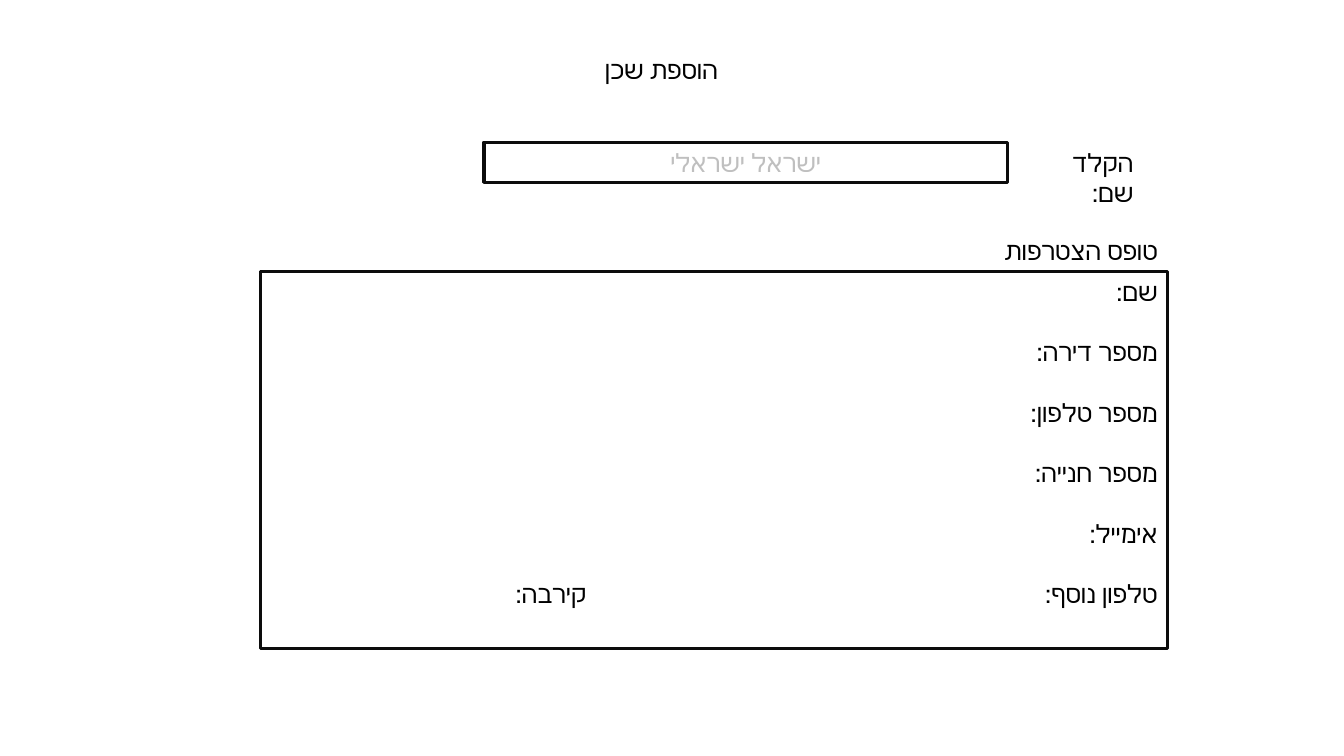
import pptx
import pptx.util
import pptx.dml.color
import pptx.enum.shapes
import pptx.enum.text
import pptx.oxml
import pptx.oxml.ns

Inches = pptx.util.Inches
Pt = pptx.util.Pt
RGB = pptx.dml.color.RGBColor
ALIGN = pptx.enum.text.PP_ALIGN
COLORS = {"text": "000000", "hint": "BFBFBF", "line": "0C0C0C"}


def write(sp, lines, color="text", align=ALIGN.RIGHT, gap=0):
    tf = sp.text_frame
    tf.text = "\n".join(lines)
    tf.word_wrap = True
    tf.auto_size = pptx.enum.text.MSO_AUTO_SIZE.NONE
    tf.vertical_anchor = pptx.enum.text.MSO_ANCHOR.TOP
    tf.margin_left = tf.margin_right = Inches(0.1)
    tf.margin_top = tf.margin_bottom = Inches(0.05)
    for p in tf.paragraphs:
        p.alignment = align
        p.space_before = Pt(0)
        p.space_after = Pt(gap)
        p._p.get_or_add_pPr().set("rtl", "1")
        for r in p.runs:
            r.font.size = Pt(18)
            r.font.name = "Calibri"
            r.font.color.rgb = RGB.from_string(COLORS[color])


def add_box(s, left, top, width, height):
    sp = s.shapes.add_shape(
        pptx.enum.shapes.MSO_SHAPE.RECTANGLE,
        Inches(left), Inches(top), Inches(width), Inches(height))
    sp.shadow.inherit = False
    sp.fill.background()
    sp.line.color.rgb = RGB.from_string(COLORS["line"])
    sp.line.width = Pt(2.25)
    return sp


prs = pptx.Presentation()
prs.slide_width = Inches(13.33)
prs.slide_height = Inches(7.5)
s = prs.slides.add_slide(prs.slide_layouts[5])

title = s.shapes.title
title.left, title.top = Inches(5.02), Inches(0.49)
title.width, title.height = Inches(2.2), Inches(0.4)
write(title, ["הוספת שכן"])

form = add_box(s, 2.58, 2.69, 9, 3.74)
write(form, ["שם:", "מספר דירה:", "מספר טלפון:", "מספר חנייה:",
             "אימייל:", "טלפון נוסף:\tקירבה:"], gap=21.6)
last = form.text_frame.paragraphs[-1]
last._p.get_or_add_pPr().append(pptx.oxml.parse_xml(
    f'<a:tabLst {pptx.oxml.ns.nsdecls("a")}>'
    f'<a:tab pos="{Inches(6.37)}" algn="l"/></a:tabLst>'))

name_field = add_box(s, 4.8, 1.41, 5.19, 0.4)
write(name_field, ["ישראל ישראלי"], "hint", ALIGN.CENTER)

labels = [
    ("הקלד שם:", 10.12, 1.41, 1.22),
    ("טופס הצטרפות", 9.73, 2.29, 1.85),
]
for text, left, top, width in labels:
    label = s.shapes.add_textbox(
        Inches(left), Inches(top), Inches(width), Inches(0.4))
    write(label, [text])

prs.save("out.pptx")
